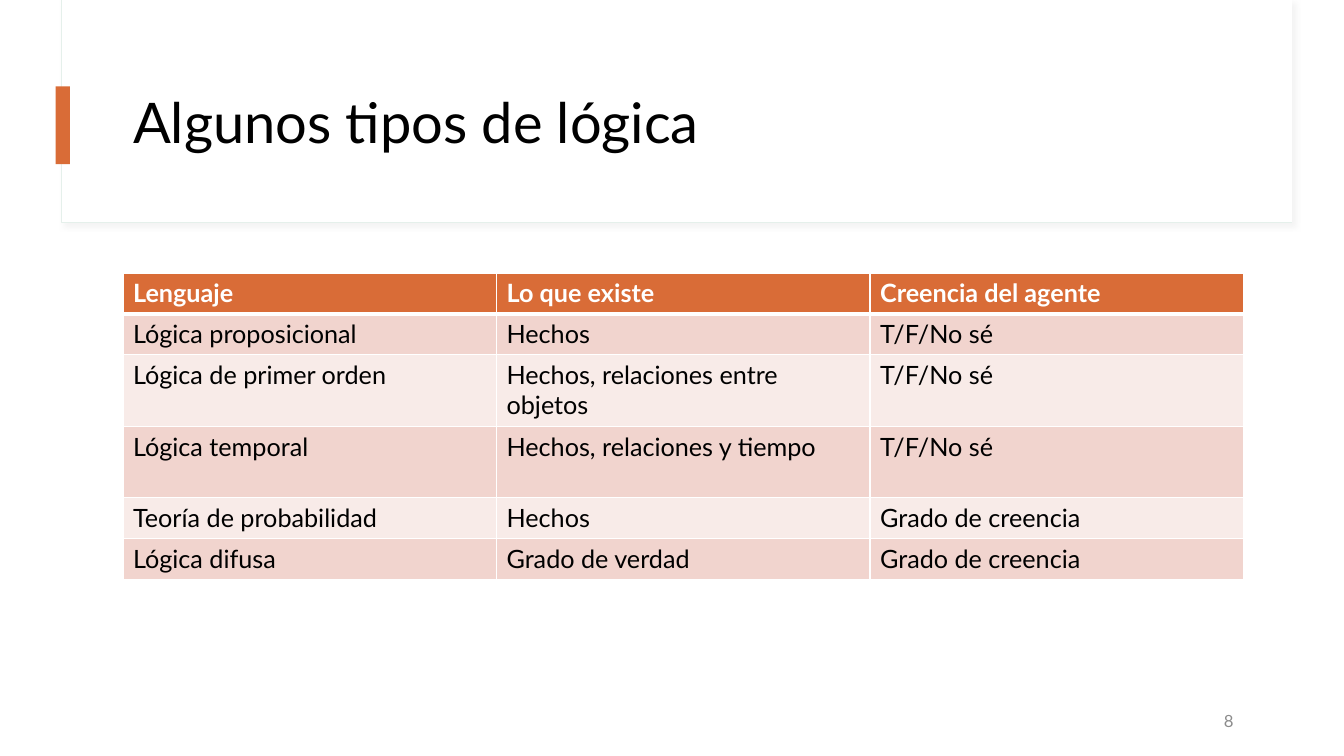
from lxml import etree
from pptx import Presentation
from pptx.dml.color import RGBColor
from pptx.enum.shapes import MSO_SHAPE
from pptx.enum.text import MSO_ANCHOR, MSO_AUTO_SIZE, PP_ALIGN
from pptx.oxml import parse_xml
from pptx.oxml.ns import nsdecls, qn
from pptx.util import Cm, Pt

RECTANGLE = MSO_SHAPE.RECTANGLE
MIDDLE = MSO_ANCHOR.MIDDLE
NO_AUTOFIT = MSO_AUTO_SIZE.NONE
LEFT, RIGHT = PP_ALIGN.LEFT, PP_ALIGN.RIGHT

THEME = {
    "font": "Lato",
    "white": "FFFFFF", "black": "000000", "accent": "D96C37",
    "band_dark": "F1D4CE", "band_light": "F8EBE8",
    "frame": "E5F0EB", "shadow": "D9D9D9", "muted": "8C8C8C",
    "title_size": 40, "table_size": 18, "number_size": 12,
}
MARGIN, CONTENT_WIDTH = 3.1, 28.24


def rgb(name):
    return RGBColor.from_string(THEME[name])


def write(frame, text, size, color, bold=False, align=LEFT):
    frame.text = text
    paragraph = frame.paragraphs[0]
    paragraph.alignment = align
    font = paragraph.runs[0].font
    formats = {"name": THEME["font"], "size": Pt(THEME[size]), "bold": bold}
    for attribute, value in formats.items():
        setattr(font, attribute, value)
    font.color.rgb = rgb(color)
    return paragraph


# Slide
prs = Presentation()
prs.slide_width, prs.slide_height = Cm(33.87), Cm(19.05)
slide = prs.slides.add_slide(prs.slide_layouts[5])

# Header: outlined panel, white cover and accent bar
header = []
for left, top, width, height, color in [
    (1.55, 0, 31.01, 5.61, "white"),
    (1.57, 0, 30.99, 5.59, "white"),
    (1.4, 2.18, 0.36, 1.96, "accent"),
]:
    part = slide.shapes.add_shape(RECTANGLE, Cm(left), Cm(top), Cm(width), Cm(height))
    part.shadow.inherit = False
    part.fill.solid()
    part.fill.fore_color.rgb = rgb(color)
    part.line.fill.background()
    header.append(part)

panel = header[0]
panel.line.color.rgb = rgb("frame")
panel.line.width = Pt(0.75)
effects = panel.element.spPr.find(qn("a:effectLst"))
panel_shadow = etree.SubElement(
    effects, qn("a:outerShdw"),
    blurRad=str(Pt(4)), dist=str(Pt(3)), dir=str(45 * 60000), algn="tl", rotWithShape="0")
shadow_color = etree.SubElement(panel_shadow, qn("a:srgbClr"), val=THEME["shadow"])
etree.SubElement(shadow_color, qn("a:alpha"), val="30000")

# Title, brought in front of the header
title = slide.shapes.title
title.left, title.top = Cm(MARGIN), Cm(1.52)
title.width, title.height = Cm(CONTENT_WIDTH), Cm(3.28)
title.text_frame.auto_size = NO_AUTOFIT
title.text_frame.vertical_anchor = MIDDLE
heading = write(title.text_frame, "Algunos tipos de lógica", "title_size", "black")
heading.line_spacing = 0.9
slide.shapes._spTree.append(title.element)

# Table of logics
logics = [
    ("Lenguaje", "Lo que existe", "Creencia del agente"),
    ("Lógica proposicional", "Hechos", "T/F/No sé"),
    ("Lógica de primer orden", "Hechos, relaciones entre objetos", "T/F/No sé"),
    ("Lógica temporal", "Hechos, relaciones y tiempo", "T/F/No sé"),
    ("Teoría de probabilidad", "Hechos", "Grado de creencia"),
    ("Lógica difusa", "Grado de verdad", "Grado de creencia"),
]
row_heights = [1.03, 1.03, 1.8, 1.8, 1.03, 1.03]
table = slide.shapes.add_table(
    len(logics), len(logics[0]), Cm(MARGIN), Cm(6.88),
    Cm(CONTENT_WIDTH), Cm(sum(row_heights))).table
table.horz_banding = False

for row, (logic, height) in enumerate(zip(logics, row_heights)):
    table.rows[row].height = Cm(height)
    is_header = row == 0
    band = "accent" if is_header else ("band_light", "band_dark")[row % 2]
    for column, text in enumerate(logic):
        cell = table.cell(row, column)
        write(cell.text_frame, text, "table_size",
              "white" if is_header else "black", bold=is_header)
        cell.fill.solid()
        cell.fill.fore_color.rgb = rgb(band)
        borders = {
            "lnL": 1, "lnR": 1,
            "lnT": 3 if row == 1 else 1,
            "lnB": 3 if is_header else 1,
        }
        for position, (side, weight) in enumerate(borders.items()):
            cell._tc.tcPr.insert(position, parse_xml(
                f'<a:{side} {nsdecls("a")} w="{Pt(weight)}"><a:solidFill>'
                f'<a:srgbClr val="{THEME["white"]}"/></a:solidFill></a:{side}>'))

# Slide number
number = slide.shapes.add_textbox(Cm(23.72), Cm(17.65), Cm(7.62), Cm(1.02))
number.text_frame.word_wrap = True
number.text_frame.vertical_anchor = MIDDLE
write(number.text_frame, "8", "number_size", "muted", align=RIGHT)

prs.save("out.pptx")
